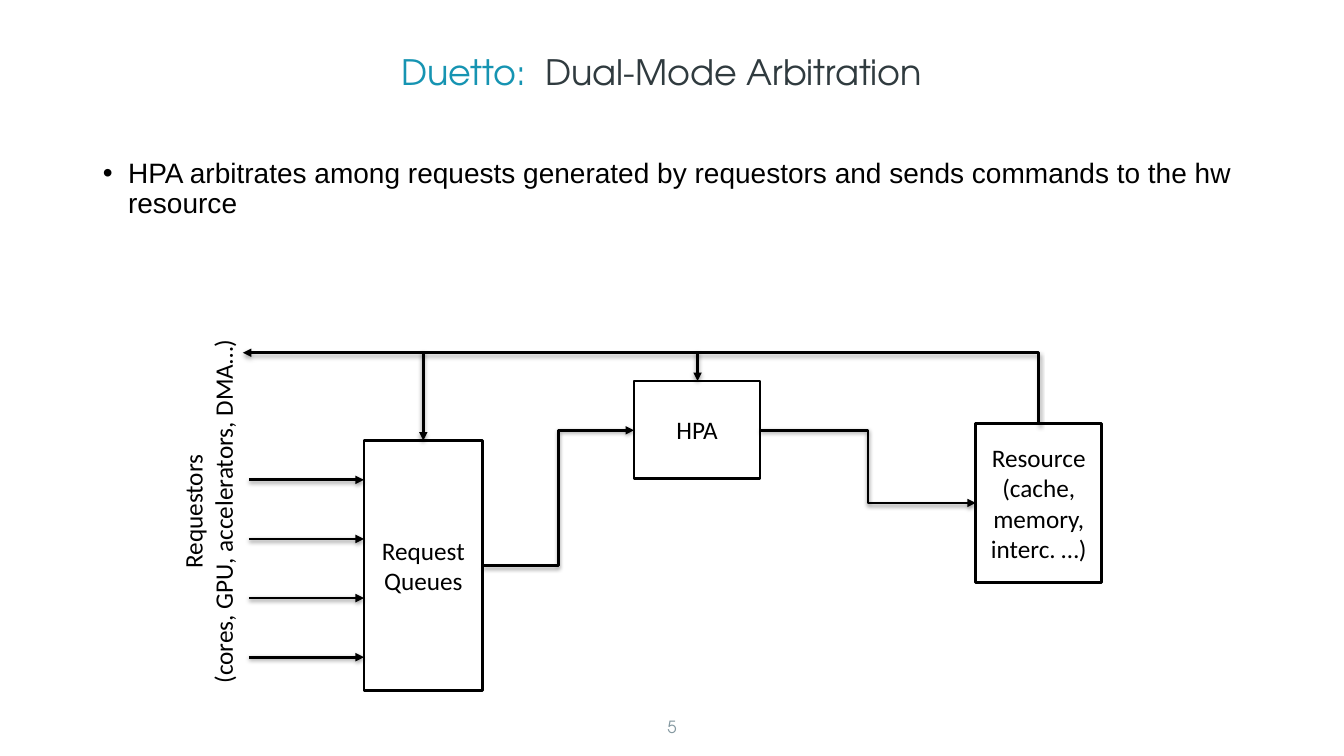
from lxml import etree
from pptx import Presentation, util as u
from pptx.dml.color import RGBColor
from pptx.enum import shapes, text
from pptx.oxml import parse_xml
from pptx.oxml.ns import qn

hue = RGBColor.from_string
INK = "000000"
HEAD = "TeX Gyre Adventor"
NS = 'xmlns:a="http://schemas.openxmlformats.org/drawingml/2006/main"'
SHADE = (f'<a:effectLst {NS}><a:outerShdw blurRad="39370" dist="20320" dir="5400000">'
         f'<a:srgbClr val="{INK}"><a:alpha val="38000"/></a:srgbClr>'
         '</a:outerShdw></a:effectLst>')

deck = Presentation()
deck.slide_width, deck.slide_height = u.Inches(13.33), u.Inches(7.5)
slide = deck.slides.add_slide(deck.slide_layouts[1])
items = slide.shapes


def area(*parts):
    """Turn x, y pairs in percent of the slide into lengths."""
    sides = (deck.slide_width, deck.slide_height)
    return [u.Emu(round(part * sides[i % 2] / 100)) for i, part in enumerate(parts)]


def style(font, size, name, tone):
    font.size, font.name = u.Pt(size), name
    font.color.rgb = hue(tone)


# Title
title = items.title
title.left, title.top, title.width, title.height = area(0, 3.47, 98.5, 10)
frame = title.text_frame
frame.auto_size = text.MSO_AUTO_SIZE.NONE
frame.vertical_anchor = text.MSO_ANCHOR.BOTTOM
line = frame.paragraphs[0]
line.alignment, line.line_spacing = text.PP_ALIGN.CENTER, 0.7
for words, size, name, tone in [
    ("Duetto:", 25, HEAD, "1694B2"),
    (" ", 50, "Arial", INK),
    ("Dual-Mode Arbitration", 25, HEAD, "303B3F"),
]:
    run = line.add_run()
    run.text = words
    style(run.font, size, name, tone)

# Bullet
body = slide.placeholders[1]
body.left, body.top, body.width, body.height = area(6.9, 20.4, 86.25, 22.53)
frame = body.text_frame
frame.auto_size = text.MSO_AUTO_SIZE.NONE
frame.text = ("HPA arbitrates among requests generated by requestors "
              "and sends commands to the hw resource")
line = frame.paragraphs[0]
line.line_spacing, line.space_before = 0.9, u.Pt(0)
props = line._p.get_or_add_pPr()
props.set("marL", str(u.Inches(0.25)))
props.set("indent", str(u.Inches(-0.25)))
etree.SubElement(props, qn("a:buChar")).set("char", "•")
style(line.font, 20, "Arial", INK)

# Blocks
for words, spot in [
    ("Request Queues", (27.08, 58.27, 8.85, 33.07)),
    ("HPA", (47.18, 50.4, 9.38, 12.93)),
    ("Resource\n(cache, memory, interc. …)", (72.6, 56, 9.38, 21.07)),
]:
    block = items.add_shape(shapes.MSO_SHAPE.RECTANGLE, *area(*spot))
    block.shadow.inherit = False
    block.fill.solid()
    block.fill.fore_color.rgb = hue("FFFFFF")
    block.line.color.rgb = hue(INK)
    block.line.width = u.Pt(2)
    block.text_frame.text = words
    block.text_frame.vertical_anchor = text.MSO_ANCHOR.MIDDLE
    for line in block.text_frame.paragraphs:
        line.alignment = text.PP_ALIGN.CENTER
        style(line.font, 18, "Calibri", INK)

# Side label and page number
for words, spot, turn, size, name, tone in [
    ("Requestors\n(cores, GPU, accelerators, DMA…)",
     (1.8, 62.93, 27.38, 9.47), 270, 18, "Calibri", INK),
    ("5", (0, 94.93, 100, 3.2), 0, 12, HEAD, "8498A0"),
]:
    label = items.add_textbox(*area(*spot))
    label.rotation = turn
    frame = label.text_frame
    frame.text = words
    frame.word_wrap = not turn
    if not turn:
        frame.vertical_anchor = text.MSO_ANCHOR.BOTTOM
    for line in frame.paragraphs:
        line.alignment = text.PP_ALIGN.CENTER
        line.line_spacing = 1.0 if turn else 0.9
        style(line.font, size, name, tone)

# Arrows
plain, bent = shapes.MSO_CONNECTOR.STRAIGHT, shapes.MSO_CONNECTOR.ELBOW
links = [(plain, (18.52, 63.47 + 7.82 * i, 27.08, 63.47 + 7.82 * i)) for i in range(4)]
links += [
    (plain, (31.5, 46.5, 31.5, 58.27)),
    (plain, (51.9, 46.5, 51.9, 50.4)),
    (bent, (35.93, 74.8, 47.18, 56.93)),
    (bent, (56.56, 56.93, 72.6, 66.53)),
    (bent, (45, 104, 50.33, -1.2)),
]
for kind, ends in links:
    link = items.add_connector(kind, *area(*ends))
    link.line.color.rgb = hue(INK)
    link.line.width = u.Pt(2)
    tip = etree.SubElement(link.line._get_or_add_ln(), qn("a:tailEnd"))
    tip.set("type", "triangle")
    link._element.spPr.append(parse_xml(SHADE))

# The last link is the feedback path: one corner, turned a quarter
form = link._element.spPr
form.find(qn("a:xfrm")).set("rot", "16200000")
form.find(qn("a:prstGeom")).set("prst", "bentConnector2")

deck.save("out.pptx")
